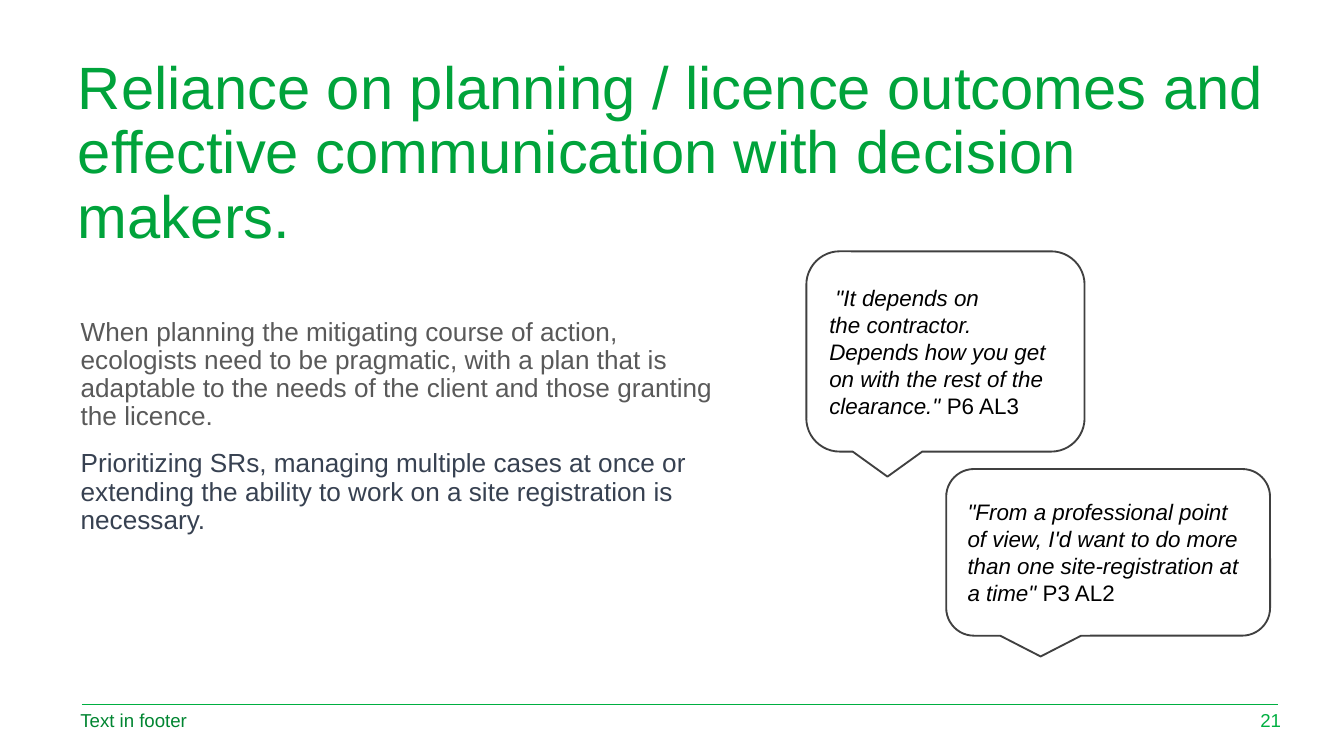
from lxml.etree import SubElement as Sub
from pptx import Presentation
from pptx.dml.color import RGBColor as RGB
from pptx.enum.shapes import MSO_CONNECTOR as Link, MSO_SHAPE as Shape
from pptx.enum.text import MSO_ANCHOR as Anchor, MSO_AUTO_SIZE as Fit, PP_ALIGN as Align
from pptx.oxml.ns import qn
from pptx.util import Inches, Pt

COLORS = {
    "title": "00A33B", "body": "595959", "slate": "374151", "foot": "008531",
    "rule": "00AF41", "edge": "404040", "ink": "000000", "paper": "FFFFFF",
}


def tint(name):
    """Return the named colour."""
    return RGB.from_string(COLORS[name])


def place(shape, box):
    """Move a shape to a box given in inches."""
    shape.left, shape.top, shape.width, shape.height = map(Inches, box)


def write(para, text, size, color, italic=False):
    """Add one styled run to a paragraph, with each ~ as a no-break space."""
    run = para.add_run()
    run.text = text.replace("~", chr(160))
    font = run.font
    font.name, font.size, font.italic = "Arial", Pt(size), italic
    font.color.rgb = tint(color)


def setup(shape, anchor):
    """Wrap a shape's text at a fixed size and return its frame."""
    frame = shape.text_frame
    frame.word_wrap, frame.auto_size = True, Fit.NONE
    frame.vertical_anchor = anchor
    return frame


def add_title(slide, box, text):
    """Fill the title placeholder."""
    place(slide.shapes.title, box)
    para = setup(slide.shapes.title, Anchor.TOP).paragraphs[0]
    para.alignment, para.line_spacing = Align.LEFT, 0.9
    write(para, text, 32, "title")


def add_body(slide, box, items):
    """Fill the body placeholder with plain paragraphs."""
    body = slide.placeholders[1]
    place(body, box)
    frame = setup(body, Anchor.TOP)
    for i, (text, color) in enumerate(items):
        para = frame.add_paragraph() if i else frame.paragraphs[0]
        para.line_spacing, para.space_before = 0.9, Pt(10)
        props = para._p.get_or_add_pPr()
        props.set("marL", "0")
        props.set("indent", "0")
        Sub(props, qn("a:buNone"))
        write(para, text, 14, color)


def add_quote(slide, box, quote, source):
    """Draw a speech bubble with a quote and its speaker."""
    shape = slide.shapes.add_shape(Shape.ROUNDED_RECTANGULAR_CALLOUT, *map(Inches, box))
    shape.shadow.inherit = False
    shape.fill.solid()
    shape.fill.fore_color.rgb = tint("paper")
    shape.line.color.rgb = tint("edge")
    shape.line.width = Pt(1)
    para = setup(shape, Anchor.MIDDLE).paragraphs[0]
    para.alignment = Align.LEFT
    write(para, quote, 12, "ink", True)
    write(para, source, 12, "ink")


def add_footer(slide, box, text, page):
    """Draw the footer rule, its text and the page number."""
    left, top, width, height = box
    y = Inches(top + 0.03)
    rule = slide.shapes.add_connector(
        Link.STRAIGHT, Inches(left + 0.11), y, Inches(left + 9.01), y)
    rule.line.color.rgb = tint("rule")
    rule.line.width = Pt(0.5)
    Sub(rule._element.spPr, qn("a:effectLst"))
    labels = [
        (left, 6.21, text, "foot", Align.LEFT),
        (left + width - 0.45, 0.45, page, "rule", Align.RIGHT),
    ]
    for x, w, label, color, align in labels:
        note = slide.shapes.add_textbox(*map(Inches, (x, top, w, height)))
        para = setup(note, Anchor.MIDDLE).paragraphs[0]
        para.alignment = align
        write(para, label, 10, color)


def main():
    """Build and save the slide."""
    deck = Presentation()
    deck.slide_width = Inches(10)
    deck.slide_height = deck.slide_width * 9 // 16
    slide = deck.slides.add_slide(deck.slide_layouts[1])
    add_title(slide, (0.48, 0.38, 9.04, 0.4),
              "Reliance on planning / licence outcomes and effective "
              "communication with decision makers.")
    add_body(slide, (0.5, 2.32, 5.1, 3.81), [
        ("When planning the mitigating course of action, ecologists need to be "
         "pragmatic, with a plan that is adaptable to the needs of the client "
         "and those granting the licence.", "body"),
        ("Prioritizing SRs, managing multiple cases at once or extending the "
         "ability to work on a site registration is necessary.", "slate"),
    ])
    add_footer(slide, (0.5, 5.21, 9.13, 0.3), "Text in footer", "21")
    add_quote(slide, (6, 1.87, 2.07, 1.49),
              '~"It depends on the~contractor. Depends how~you get on with~the '
              'rest of~the clearance."~', "P6 AL3")
    add_quote(slide, (7.04, 3.49, 2.41, 1.24),
              '"From a professional point of~view, I\'d want to do more '
              'than~one site-registration at a time"', "~P3 AL2")
    deck.save("out.pptx")


if __name__ == "__main__":
    main()
